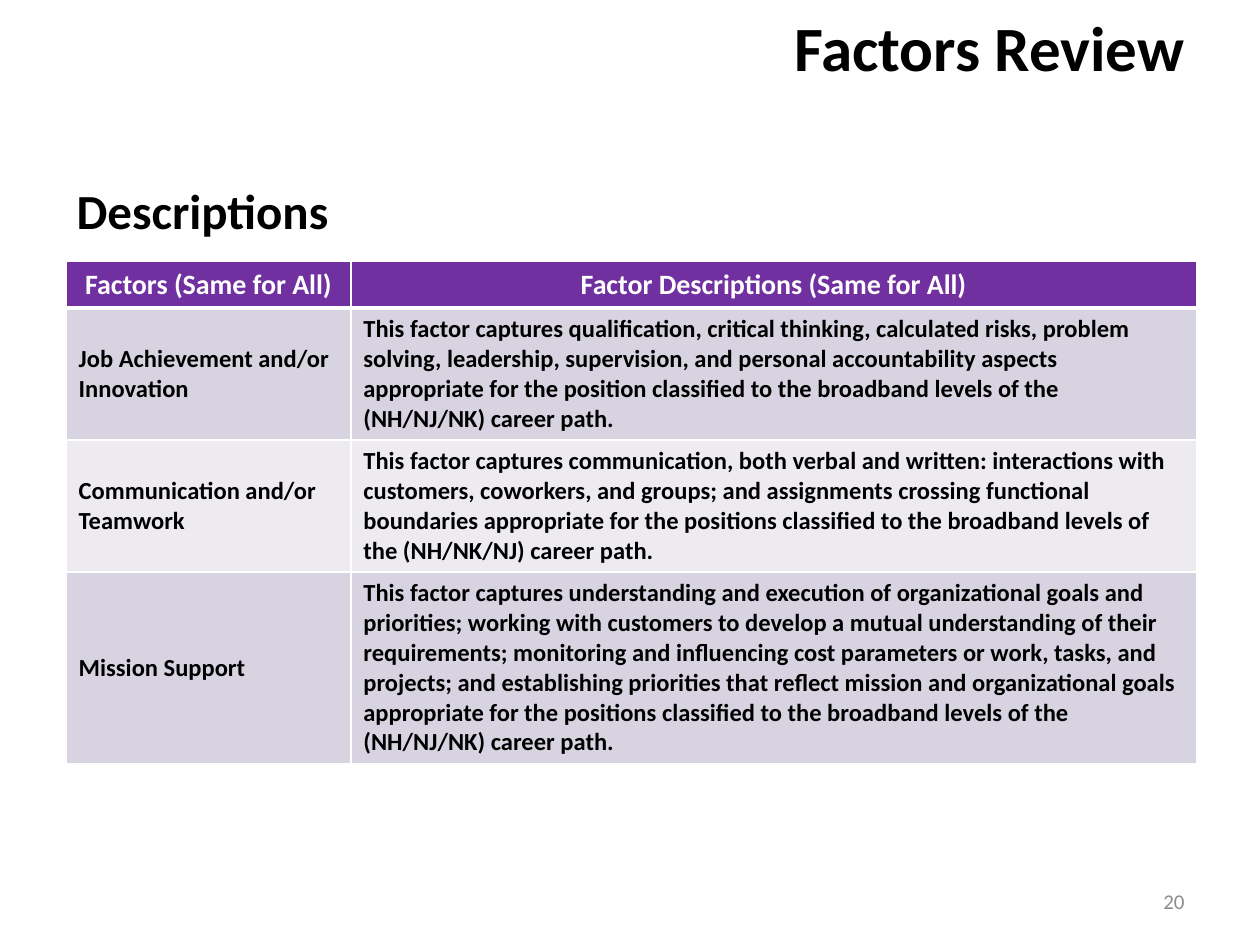
from lxml import etree
from pptx import Presentation
from pptx.dml.color import RGBColor
from pptx.enum import text
from pptx.oxml import ns
from pptx.util import Pt

BLACK = RGBColor(0x00, 0x00, 0x00)
WHITE = RGBColor(0xFF, 0xFF, 0xFF)
GRAY = RGBColor(0x8C, 0x8C, 0x8C)
PURPLE = RGBColor(0x70, 0x30, 0xA0)
LAVENDER = RGBColor(0xD8, 0xD3, 0xE0)
PALE_LAVENDER = RGBColor(0xED, 0xEA, 0xF0)
FONT = "Calibri"

TITLE = "Factors Review"
SUBTITLE = "Descriptions"
PAGE_NUMBER = "20"
HEADER = ("Factors (Same for All)", "Factor Descriptions (Same for All)")
FACTORS = [
    ("Job Achievement and/or Innovation",
     "This factor captures qualification, critical thinking, calculated risks, problem solving, "
     "leadership, supervision, and personal accountability aspects appropriate for the position "
     "classified to the broadband levels of the (NH/NJ/NK) career path."),
    ("Communication and/or Teamwork",
     "This factor captures communication, both verbal and written: interactions with customers, "
     "coworkers, and groups; and assignments crossing functional boundaries appropriate for the "
     "positions classified to the broadband levels of the (NH/NK/NJ) career path."),
    ("Mission Support",
     "This factor captures understanding and execution of organizational goals and priorities; "
     "working with customers to develop a mutual understanding of their requirements; monitoring "
     "and influencing cost parameters or work, tasks, and projects; and establishing priorities "
     "that reflect mission and organizational goals appropriate for the positions classified to "
     "the broadband levels of the (NH/NJ/NK) career path."),
]
COLUMN_WIDTHS = (162.7, 483.3)
ROW_HEIGHTS = (26.6, 75.5, 75.5, 109.5)


def write(frame, content, size, color, bold=True, align=text.PP_ALIGN.LEFT,
          anchor=text.MSO_ANCHOR.TOP):
    frame.word_wrap = True
    frame.vertical_anchor = anchor
    paragraph = frame.paragraphs[0]
    paragraph.text = content
    paragraph.alignment = align
    font = paragraph.font
    font.name, font.size, font.bold = FONT, Pt(size), bold
    font.color.rgb = color


def add_text(slide, left, top, width, height, *details, **options):
    box = slide.shapes.add_textbox(Pt(left), Pt(top), Pt(width), Pt(height))
    write(box.text_frame, *details, **options)


def set_borders(cell, widths):
    properties = cell._tc.get_or_add_tcPr()
    for position, (side, width) in enumerate(widths.items()):
        line = etree.Element(ns.qn("a:" + side), w=str(Pt(width)))
        fill = etree.SubElement(line, ns.qn("a:solidFill"))
        etree.SubElement(fill, ns.qn("a:srgbClr"), val=str(WHITE))
        properties.insert(position, line)


def add_factor_table(slide):
    rows = [HEADER] + FACTORS
    table = slide.shapes.add_table(
        len(rows), len(HEADER), Pt(37.8), Pt(149.4),
        Pt(sum(COLUMN_WIDTHS)), Pt(sum(ROW_HEIGHTS))).table
    for column, width in zip(table.columns, COLUMN_WIDTHS):
        column.width = Pt(width)
    for row_index, (row, height, contents) in enumerate(zip(table.rows, ROW_HEIGHTS, rows)):
        row.height = Pt(height)
        if row_index == 0:
            size, color, fill, align = 16, WHITE, PURPLE, text.PP_ALIGN.CENTER
        else:
            size, color, align = 14, BLACK, text.PP_ALIGN.LEFT
            fill = LAVENDER if row_index % 2 else PALE_LAVENDER
        top = 3 if row_index == 1 else 1
        bottom = 3 if row_index == 0 else 1
        for cell, content in zip(row.cells, contents):
            write(cell.text_frame, content, size, color, align=align)
            cell.vertical_anchor = text.MSO_ANCHOR.MIDDLE
            cell.fill.solid()
            cell.fill.fore_color.rgb = fill
            set_borders(cell, {"lnL": 1, "lnR": 1, "lnT": top, "lnB": bottom})


def main():
    presentation = Presentation()
    presentation.slide_width, presentation.slide_height = Pt(720), Pt(540)
    slide = presentation.slides.add_slide(presentation.slide_layouts[5])
    title = slide.shapes.title
    title.left, title.top, title.width, title.height = Pt(138), Pt(1.5), Pt(546), Pt(70.5)
    write(title.text_frame, TITLE, 36, BLACK, align=text.PP_ALIGN.RIGHT)
    add_text(slide, 516, 500.5, 168, 28.75, PAGE_NUMBER, 12, GRAY, bold=False,
             align=text.PP_ALIGN.RIGHT, anchor=text.MSO_ANCHOR.MIDDLE)
    add_text(slide, 36.7, 99.4, 620, 401, SUBTITLE, 28, BLACK)
    add_factor_table(slide)
    presentation.save("out.pptx")


if __name__ == "__main__":
    main()
